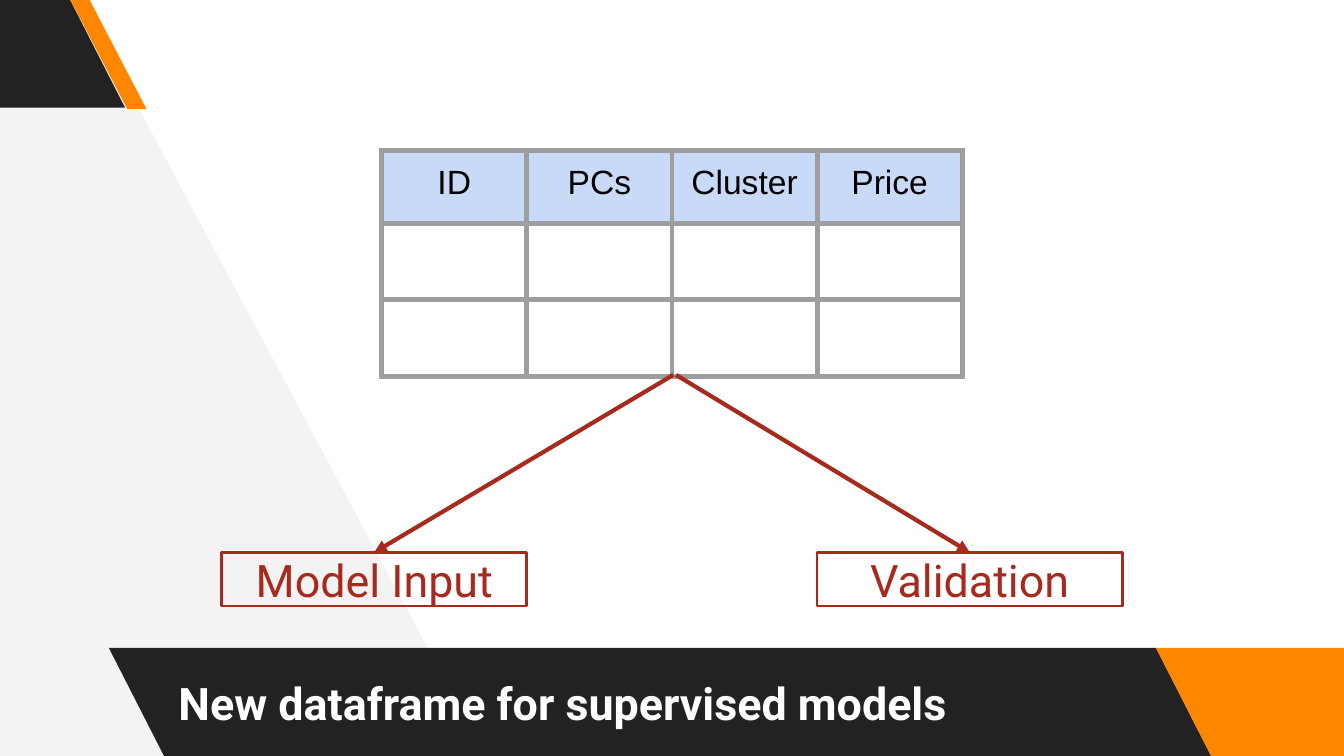
from dataclasses import dataclass

from lxml.etree import SubElement
from pptx import Presentation
from pptx.dml.color import RGBColor
from pptx.enum.shapes import MSO_CONNECTOR as Connector, MSO_SHAPE as Preset
from pptx.enum.text import MSO_ANCHOR as Anchor, PP_ALIGN as Align
from pptx.oxml.ns import qn
from pptx.util import Inches, Pt

COLUMNS, ROWS = 100, 56.25
UNIT = Inches(10) / COLUMNS
DARK, ORANGE, PALE, RED = "222222", "FF8700", "F3F3F3", "A72A1E"
WHITE, BLACK, HEADER_BLUE, GRID_GREY = "FFFFFF", "000000", "C9DAF8", "9E9E9E"
BAND_TOP, BAND_HEIGHT = 48.2, 8.2
TABLE_LEFT, TABLE_TOP, TABLE_COLUMN = 28.4, 11.2, 10.8
TABLE_ROWS = (5.4, 5.7, 5.7)
TABLE_BOTTOM = TABLE_TOP + sum(TABLE_ROWS)
HEADINGS = ("ID", "PCs", "Cluster", "Price")
OUTCOME_TOP, OUTCOME_WIDTH, OUTCOME_HEIGHT = 41.1, 22.7, 4


@dataclass(frozen=True)
class Area:
    column: float
    row: float
    width: float
    height: float

    def lengths(self) -> tuple:
        return tuple(grid(n) for n in (self.column, self.row, self.width, self.height))


@dataclass(frozen=True)
class Slant:
    area: Area
    lean: float
    color: str


@dataclass(frozen=True)
class Outcome:
    label: str
    column: float
    arrow_start: float


SLANTS = (
    Slant(Area(8.1, BAND_TOP, 82.1, BAND_HEIGHT), 0.51, DARK),
    Slant(Area(86, BAND_TOP, 19.2, BAND_HEIGHT), 0.51, ORANGE),
    Slant(Area(-9.9, -0.2, 19.2, BAND_HEIGHT), 0.51, DARK),
    Slant(Area(5.2, -0.1, 5.7, BAND_HEIGHT), 0.75, ORANGE),
)
OUTCOMES = (Outcome("Model Input", 16.5, 50.1), Outcome("Validation", 60.8, 50.3))
BACKDROP = ((35.6, 56.2), (6.2, -0.4), (-0.6, -0.4), (-0.2, 56.6))


def grid(units: float) -> int:
    return round(units * UNIT)


def rgb(color: str) -> RGBColor:
    return RGBColor.from_string(color)


def paint(part, color: str) -> None:
    part.fill.solid()
    part.fill.fore_color.rgb = rgb(color)


def write(frame, text: str, size: float, color: str, font: str = "Roboto",
          align: Align = Align.CENTER, bold: bool = False) -> None:
    paragraph = frame.paragraphs[0]
    paragraph.text = text
    paragraph.alignment = align
    paragraph.font.size = Pt(size)
    paragraph.font.name = font
    paragraph.font.bold = bold
    paragraph.font.color.rgb = rgb(color)


def pad(frame) -> None:
    frame.word_wrap = True
    frame.vertical_anchor = Anchor.MIDDLE
    frame.margin_left = frame.margin_right = grid(1)
    frame.margin_top = frame.margin_bottom = grid(1)


def draw_backdrop(shapes) -> None:
    start, *corners = BACKDROP
    builder = shapes.build_freeform(*start, scale=UNIT)
    builder.add_line_segments(corners, close=True)
    backdrop = builder.convert_to_shape()
    backdrop.shadow.inherit = False
    paint(backdrop, PALE)
    backdrop.line.fill.background()


def draw_slant(shapes, slant: Slant) -> None:
    band = shapes.add_shape(Preset.PARALLELOGRAM, *slant.area.lengths())
    band.shadow.inherit = False
    band.adjustments[0] = slant.lean
    band.element.spPr.find(qn("a:xfrm")).set("flipH", "1")
    paint(band, slant.color)
    band.line.fill.background()


def draw_title(shapes) -> None:
    area = Area(12.3, BAND_TOP, 73.7, BAND_HEIGHT)
    frame = shapes.add_textbox(*area.lengths()).text_frame
    pad(frame)
    write(frame, "New dataframe for supervised models", 24, WHITE,
          align=Align.LEFT, bold=True)
    frame.paragraphs[0].space_before = Pt(3.6)


def border(cell, color: str, points: float) -> None:
    properties = cell._tc.get_or_add_tcPr()
    for side in ("a:lnL", "a:lnR", "a:lnT", "a:lnB"):
        edge = SubElement(properties, qn(side), w=str(Pt(points)))
        SubElement(SubElement(edge, qn("a:solidFill")), qn("a:srgbClr"), val=color)


def draw_table(shapes) -> None:
    area = Area(TABLE_LEFT, TABLE_TOP, TABLE_COLUMN * len(HEADINGS), sum(TABLE_ROWS))
    table = shapes.add_table(len(TABLE_ROWS), len(HEADINGS), *area.lengths()).table
    table.first_row = table.horz_banding = False
    for column in table.columns:
        column.width = grid(TABLE_COLUMN)
    for row, height in zip(table.rows, TABLE_ROWS):
        row.height = grid(height)
    for cell in table.iter_cells():
        cell.margin_left = cell.margin_right = grid(1)
        cell.margin_top = cell.margin_bottom = grid(1)
        border(cell, GRID_GREY, 3)
        cell.fill.background()
    for cell, heading in zip(table.rows[0].cells, HEADINGS):
        paint(cell, HEADER_BLUE)
        write(cell.text_frame, heading, 18, BLACK, "Arial")


def draw_outcome(shapes, outcome: Outcome) -> None:
    area = Area(outcome.column, OUTCOME_TOP, OUTCOME_WIDTH, OUTCOME_HEIGHT)
    box = shapes.add_shape(Preset.RECTANGLE, *area.lengths())
    box.shadow.inherit = False
    box.fill.background()
    box.line.color.rgb = rgb(RED)
    box.line.width = Pt(1.5)
    pad(box.text_frame)
    write(box.text_frame, outcome.label, 24, RED)


def draw_arrow(shapes, outcome: Outcome) -> None:
    start = grid(outcome.arrow_start), grid(TABLE_BOTTOM - 0.1)
    end = grid(outcome.column + OUTCOME_WIDTH / 2), grid(OUTCOME_TOP)
    arrow = shapes.add_connector(Connector.STRAIGHT, *start, *end)
    arrow.line.color.rgb = rgb(RED)
    arrow.line.width = Pt(2.25)
    SubElement(arrow.line._get_or_add_ln(), qn("a:tailEnd"), type="triangle")
    SubElement(arrow._element.spPr, qn("a:effectLst"))


def main() -> None:
    deck = Presentation()
    deck.slide_width, deck.slide_height = grid(COLUMNS), grid(ROWS)
    shapes = deck.slides.add_slide(deck.slide_layouts[6]).shapes
    draw_backdrop(shapes)
    for slant in SLANTS:
        draw_slant(shapes, slant)
    draw_title(shapes)
    draw_table(shapes)
    for outcome in OUTCOMES:
        draw_outcome(shapes, outcome)
    for outcome in OUTCOMES:
        draw_arrow(shapes, outcome)
    deck.save("out.pptx")


if __name__ == "__main__":
    main()
